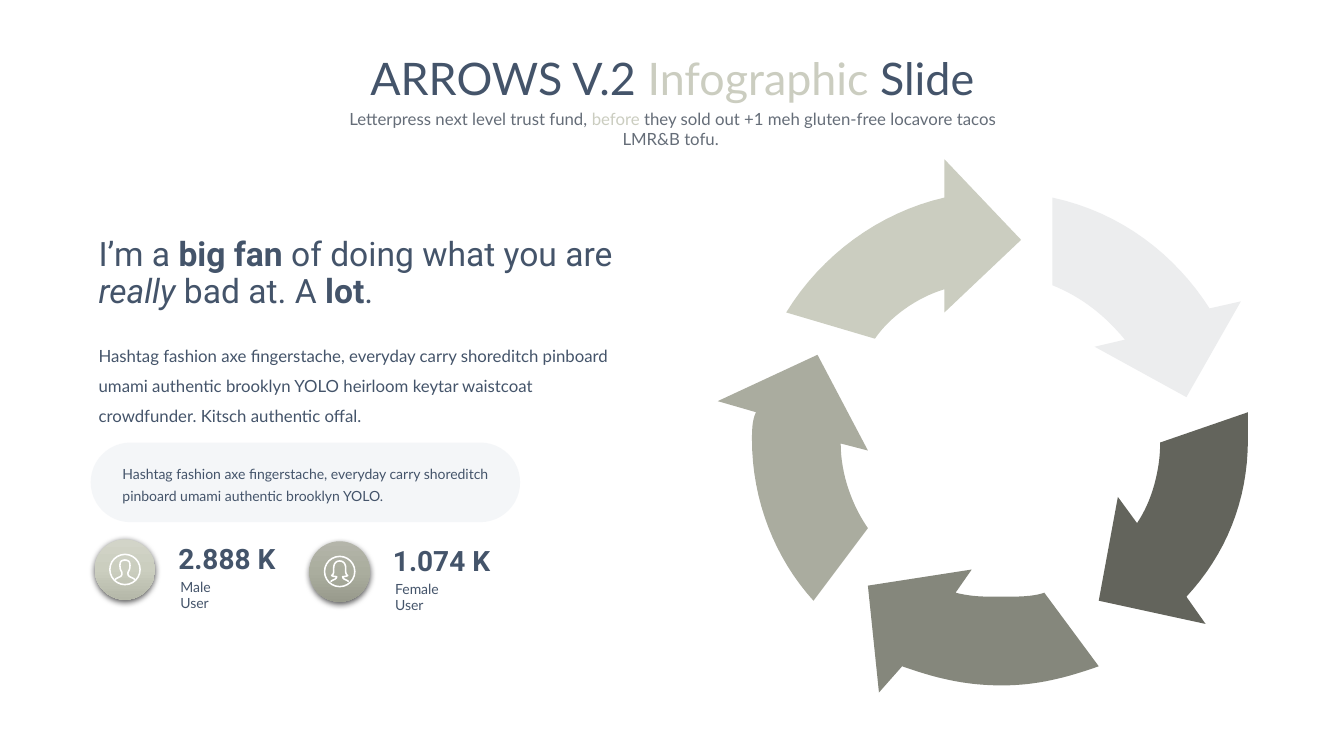
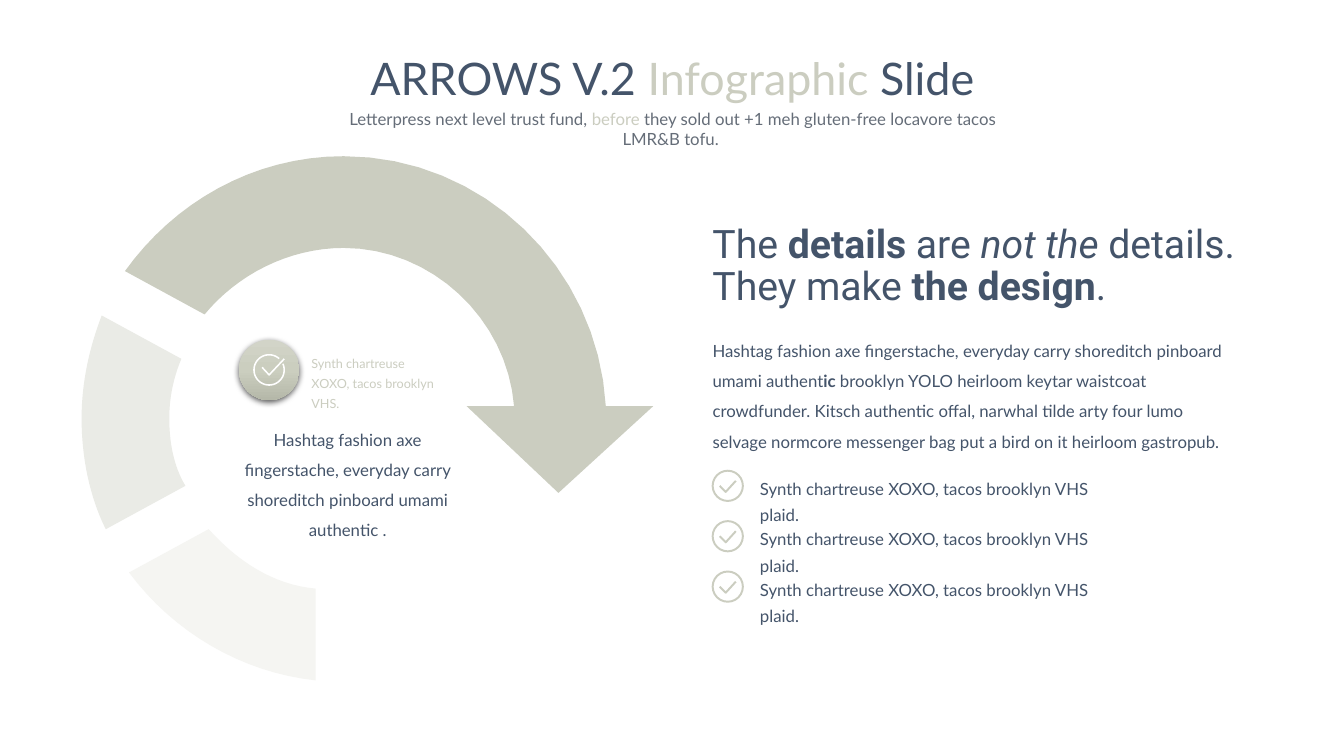
"""Build two arrow infographic slides on a grid of tenths of an inch."""
import math
from copy import deepcopy

from lxml import etree
from pptx import Presentation
from pptx.dml.color import RGBColor
from pptx.enum.shapes import MSO_SHAPE
from pptx.enum.text import MSO_ANCHOR, MSO_AUTO_SIZE, PP_ALIGN
from pptx.oxml.ns import qn
from pptx.util import Inches, Pt

OVAL, PILL = MSO_SHAPE.OVAL, MSO_SHAPE.ROUNDED_RECTANGLE
LEFT, CENTER = PP_ALIGN.LEFT, PP_ALIGN.CENTER
TOP, MIDDLE = MSO_ANCHOR.TOP, MSO_ANCHOR.MIDDLE
GROW, FIXED = MSO_AUTO_SIZE.SHAPE_TO_FIT_TEXT, MSO_AUTO_SIZE.NONE
TITLE_ONLY = 5

COLS, ROWS = 133.33, 75
UNIT = Inches(0.1)
BODY, DISPLAY = "Lato", "Roboto"
COLORS = {
    "navy": "44546A", "gray": "656D78", "sage": "CBCDC0", "moss": "AAAC9F",
    "olive": "85877C", "dark": "63645C", "silver": "ECEDEE", "mist": "EAEBE6",
    "cream": "F5F5F2", "pill": "D6DCE5", "white": "FFFFFF", "black": "000000",
}
SAGE_BADGE = ("D2D4C8", "CBCEBF", "B5B8A9")
MOSS_BADGE = ("B4B5AA", "AAAD9E", "989A8C")
INSET = (1, 0.5)

CYCLE = [
    ("sage", [(101.3, 23.8), (93.7, 15.8), (93.7, 19.6),
              (87.2, 21.1, 81.5, 25.3, 78, 31), (86.8, 33.6),
              (88.3, 31.4, 91, 29.5, 93.7, 28.7), (93.7, 31)]),
    ("moss", [(81.1, 35.2), (71.2, 39.8), (75, 40.9),
              (74.6, 41.7, 74.6, 42.8, 74.6, 43.6),
              (74.6, 49.7, 76.9, 55.4, 80.7, 59.6), (86.1, 52.4),
              (84.5, 50.1, 83.4, 47, 83.4, 44), (86.1, 44.7)]),
    ("olive", [(96.4, 56.5), (86.1, 58.1), (87.2, 68.7), (89.5, 66.1),
               (92.6, 67.2, 95.6, 68, 99.4, 68),
               (102.9, 68, 105.9, 67.2, 109, 66.1), (103.6, 58.8),
               (102.5, 59.2, 100.9, 59.2, 99.4, 59.2),
               (97.5, 59.2, 96.4, 59.2, 94.8, 58.8)]),
    ("dark", [(123.8, 40.9), (115.1, 43.9),
              (115.1, 46.6, 114.3, 49.7, 112.8, 51.9), (110.9, 49.3),
              (109, 59.6), (119.6, 61.9), (117.7, 59.2),
              (121.6, 55, 123.8, 49.7, 123.8, 43.6)]),
    ("silver", [(104.4, 19.6), (104.4, 28.3),
                (107.4, 29.5, 109.7, 31.4, 111.6, 33.7), (108.6, 34.4),
                (117.7, 39.4), (123.1, 29.9), (120, 30.6),
                (116.6, 25.3, 111.3, 21.1, 104.4, 19.6)]),
]
SWEEP = [
    ("cream", [(20.7, 52.5), (12.8, 56.8),
               (17.2, 62.7, 23.9, 66.7, 31.3, 67.5), (31.3, 58.4),
               (27, 58, 23.5, 55.6, 20.7, 52.5)]),
    ("mist", [(10.1, 31.3), (8.9, 34.4, 8.1, 37.9, 8.1, 41.5),
              (8.1, 45.4, 8.9, 49.3, 10.5, 52.5), (18.4, 48.2),
              (17.2, 46.2, 16.8, 43.8, 16.8, 41.5),
              (16.8, 39.5, 17.2, 37.5, 18, 35.6)]),
    ("sage", [(60.1, 40.3), (59.3, 26.5, 47.9, 15.5, 34.1, 15.5),
              (25, 15.5, 17.2, 20.2, 12.4, 26.9), (20.3, 31.2),
              (23.5, 27.3, 28.6, 24.6, 34.1, 24.6),
              (42.8, 24.6, 50.3, 31.6, 51, 40.3), (46.3, 40.3),
              (55.4, 48.9), (64.8, 40.3)]),
]
MALE = [(-1, 1), (-0.7, 0.75, -0.3, 0.75, -0.3, 0.45),
        (-0.25, 0.15, -0.5, 0.2, -0.5, -0.4),
        (-0.5, -0.9, -0.25, -0.9, 0, -0.95)]
FEMALE = [(-0.9, 1), (-0.6, 0.75, -0.3, 0.8, -0.3, 0.5),
          (-0.45, 0.5, -0.6, 0.5, -0.8, 0.4),
          (-0.55, 0.25, -0.6, 0, -0.6, -0.3),
          (-0.6, -0.8, -0.35, -1.05, 0, -1.05)]


def u(n):
    """Turn grid units into a length."""
    return int(n * UNIT)


def rgb(name):
    """Look up a named colour, or read a hex string."""
    return RGBColor.from_string(COLORS.get(name, name))


def write(tf, runs, size=12, font=BODY, color="navy", align=LEFT, spacing=None,
          inset=INSET, anchor=TOP, grow=True, bold=False):
    """Fill a frame with runs of (text, mark), a mark being b, i or a colour."""
    tf.word_wrap = True
    tf.auto_size = GROW if grow else FIXED
    tf.vertical_anchor = anchor
    tf.margin_left = tf.margin_right = u(inset[0])
    tf.margin_top = tf.margin_bottom = u(inset[1])
    p = tf.paragraphs[0]
    p.alignment = align
    if spacing:
        p.line_spacing = spacing
    for text, mark in [(runs, "")] if isinstance(runs, str) else runs:
        r = p.add_run()
        r.text = text
        r.font.name, r.font.size = font, Pt(size)
        r.font.bold, r.font.italic = bold or mark == "b", mark == "i"
        r.font.color.rgb = rgb(mark if mark in COLORS else color)


def add_text(slide, box, runs, **fmt):
    """Add a text box at a grid box of left, top, width and height."""
    write(slide.shapes.add_textbox(*map(u, box)).text_frame, runs, **fmt)


def paint(sp, fill=None, line=None, width=1):
    """Give a shape a flat fill and line, or none."""
    sp.shadow.inherit = False
    if fill:
        sp.fill.solid()
        sp.fill.fore_color.rgb = rgb(fill)
    else:
        sp.fill.background()
    if line:
        sp.line.color.rgb = rgb(line)
        sp.line.width = Pt(width)
    else:
        sp.line.fill.background()
    return sp


def add_preset(slide, kind, box, **style):
    """Add a preset shape at a grid box."""
    return paint(slide.shapes.add_shape(kind, *map(u, box)), **style)


def add_alpha(color, percent):
    """Add an opacity to a colour element."""
    etree.SubElement(color, qn("a:alpha"), val=str(percent * 1000))


def flatten(path, steps=16):
    """Turn corners (x, y) and cubic curves (six numbers) into points."""
    points = [path[0]]
    for part in path[1:]:
        if len(part) == 2:
            points.append(part)
            continue
        ctrl = [points[-1], part[:2], part[2:4], part[4:]]
        for n in range(1, steps + 1):
            t = n / steps
            weights = [math.comb(3, k) * t**k * (1 - t)**(3 - k) for k in range(4)]
            points.append(tuple(sum(w * c[axis] for w, c in zip(weights, ctrl))
                                for axis in (0, 1)))
    return points


def add_outline(slide, points, origin=(0, 0), close=False, **style):
    """Draw points, measured from an origin, as a freeform."""
    pts = [(u(origin[0] + x), u(origin[1] + y)) for x, y in points]
    builder = slide.shapes.build_freeform(*pts[0])
    builder.add_line_segments(pts[1:], close=close)
    paint(builder.convert_to_shape(), **style)


def add_arrows(slide, arrows):
    """Draw a set of filled, curved arrows."""
    for color, path in arrows:
        add_outline(slide, flatten(path), close=True, fill=color)


def add_badge(slide, x, y, stops):
    """Add a round badge with a gradient and a soft shadow; return its centre."""
    sp = add_preset(slide, OVAL, (x, y, 6, 6))
    sp.fill.gradient()
    sp.fill.gradient_angle = 270
    props = sp.element.spPr
    stop_list = props.find(".//" + qn("a:gsLst"))
    stop_list.append(deepcopy(stop_list[-1]))
    for n, (stop, color) in enumerate(zip(sp.fill.gradient_stops, stops)):
        stop.position = n / 2
        stop.color.rgb = rgb(color)
    shadow = etree.SubElement(
        props.find(qn("a:effectLst")), qn("a:outerShdw"), blurRad=str(Pt(4.5)),
        dist=str(Pt(1.5)), dir="5400000", algn="ctr", rotWithShape="0")
    add_alpha(etree.SubElement(shadow, qn("a:srgbClr"), val=COLORS["black"]), 63)
    return x + 3, y + 3


def add_stat(slide, x, y, figure, label, stops, half):
    """Add a user badge with a figure and its label."""
    cx, cy = add_badge(slide, x, y, stops)
    add_preset(slide, OVAL, (cx - 1.5, cy - 1.5, 3, 3), line="white", width=1.1)
    side = flatten(half, 6)
    mirror = [(-px, py) for px, py in reversed(side[:-1])]
    add_outline(slide, side + mirror, (cx, cy), line="white", width=1.1)
    add_text(slide, (x + 7.3, y - 0.25, 11.8, 4.4), figure, size=20,
             font=DISPLAY, bold=True)
    add_text(slide, (x + 8.5, y + 3.85, 5.8, 1.7), label, size=10, inset=(0, 0))


def add_check_badge(slide, x, y):
    """Add a badge with a tick that breaks out of its ring."""
    center = add_badge(slide, x, y, SAGE_BADGE)
    angles = [math.radians(a) for a in range(-24, 318, 6)]
    ring = [(1.5 * math.cos(a), 1.5 * math.sin(a)) for a in angles]
    tick = [(-0.7, -0.25), (0, 0.5), (1.5, -1.1)]
    for points in (ring, tick):
        add_outline(slide, points, center, line="white", width=1.1)


def add_check_item(slide, x, y, text):
    """Add a ringed tick followed by a line of text."""
    add_preset(slide, OVAL, (x, y, 3, 3), line="sage", width=1.38)
    add_outline(slide, [(0.7, 1.5), (1.3, 2.1), (2.3, 1)], (x, y),
                line="sage", width=1.38)
    add_text(slide, (x + 3.7, y - 0.3, 35.5, 3.4), text, spacing=1.3)


def add_slide(prs):
    """Add a slide with the shared title and subtitle."""
    slide = prs.slides.add_slide(prs.slide_layouts[TITLE_ONLY])
    title = slide.shapes.title
    title.left, title.top, title.width, title.height = map(u, (25.4, 4.5, 82.6, 6.4))
    write(title.text_frame, [("ARROWS V.2 ", ""), ("Infographic ", "sage"),
                             ("Slide", "")], size=32, align=CENTER)
    add_text(slide, (32, 10.3, 69.5, 3),
             [("Letterpress next level trust fund, ", ""), ("before", "sage"),
              (" they sold out +1 meh gluten-free locavore tacos LMR&B tofu. ", "")],
             color="gray", align=CENTER)
    return slide


def build_cycle(prs):
    """Build the slide with five arrows in a ring."""
    slide = add_slide(prs)
    add_arrows(slide, CYCLE)
    add_text(slide, (8.8, 23.1, 54.6, 8.3),
             [("I’m a ", ""), ("big fan ", "b"), ("of doing what you are ", ""),
              ("really", "i"), (" bad at. A ", ""), ("lot", "b"), (".", "")],
             size=24, font=DISPLAY, spacing=0.9)
    add_text(slide, (8.8, 32.8, 53.2, 10.1),
             "Hashtag fashion axe fingerstache, everyday carry shoreditch pinboard "
             "umami authentic brooklyn YOLO heirloom keytar waistcoat crowdfunder. "
             "Kitsch authentic offal.", spacing=1.5)
    sp = add_preset(slide, PILL, (9, 43.9, 42.6, 7.9), fill="pill")
    sp.adjustments[0] = 0.5
    add_alpha(sp.element.spPr.find(qn("a:solidFill"))[0], 25)
    write(sp.text_frame,
          "Hashtag fashion axe fingerstache, everyday carry shoreditch "
          "pinboard umami authentic brooklyn YOLO.", size=10, spacing=1.3,
          inset=(2, 0.5), anchor=MIDDLE, grow=False)
    add_stat(slide, 9.4, 53.5, "2.888 K", "Male User", SAGE_BADGE, MALE)
    add_stat(slide, 30.7, 53.7, "1.074 K", "Female User", MOSS_BADGE, FEMALE)


def build_sweep(prs):
    """Build the slide with one sweeping arrow and a checklist."""
    slide = add_slide(prs)
    add_arrows(slide, SWEEP)
    add_text(slide, (30.9, 34.9, 12.8, 4.7),
             "Synth chartreuse XOXO, tacos brooklyn VHS.", size=9, color="sage",
             spacing=1.3, inset=(0, 0), grow=False)
    add_check_badge(slide, 23.7, 33.7)
    add_text(slide, (23.1, 41.1, 22.8, 12.8),
             "Hashtag fashion axe fingerstache, everyday carry shoreditch pinboard "
             "umami authentic .", align=CENTER, spacing=1.5)
    add_text(slide, (69.7, 21.8, 54.6, 9.5),
             [("The ", ""), ("details", "b"), (" are ", ""), ("not the ", "i"),
              ("details. They make ", ""), ("the design", "b"), (".", "")],
             size=28, font=DISPLAY, spacing=0.9)
    add_text(slide, (69.7, 32.3, 53.2, 13.1),
             [("Hashtag fashion axe fingerstache, everyday carry shoreditch "
               "pinboard umami authent", ""), ("ic ", "b"),
              ("brooklyn YOLO heirloom keytar waistcoat crowdfunder. Kitsch "
               "authentic offal, narwhal tilde arty four lumo selvage normcore "
               "messenger bag put a bird on it heirloom gastropub.", "")],
             spacing=1.5)
    for n in range(3):
        add_check_item(slide, 70.7, 46.7 + 5 * n,
                       "Synth chartreuse XOXO, tacos brooklyn VHS plaid.")


def main():
    """Build and save the presentation."""
    prs = Presentation()
    prs.slide_width, prs.slide_height = u(COLS), u(ROWS)
    build_cycle(prs)
    build_sweep(prs)
    prs.save("out.pptx")


if __name__ == "__main__":
    main()
